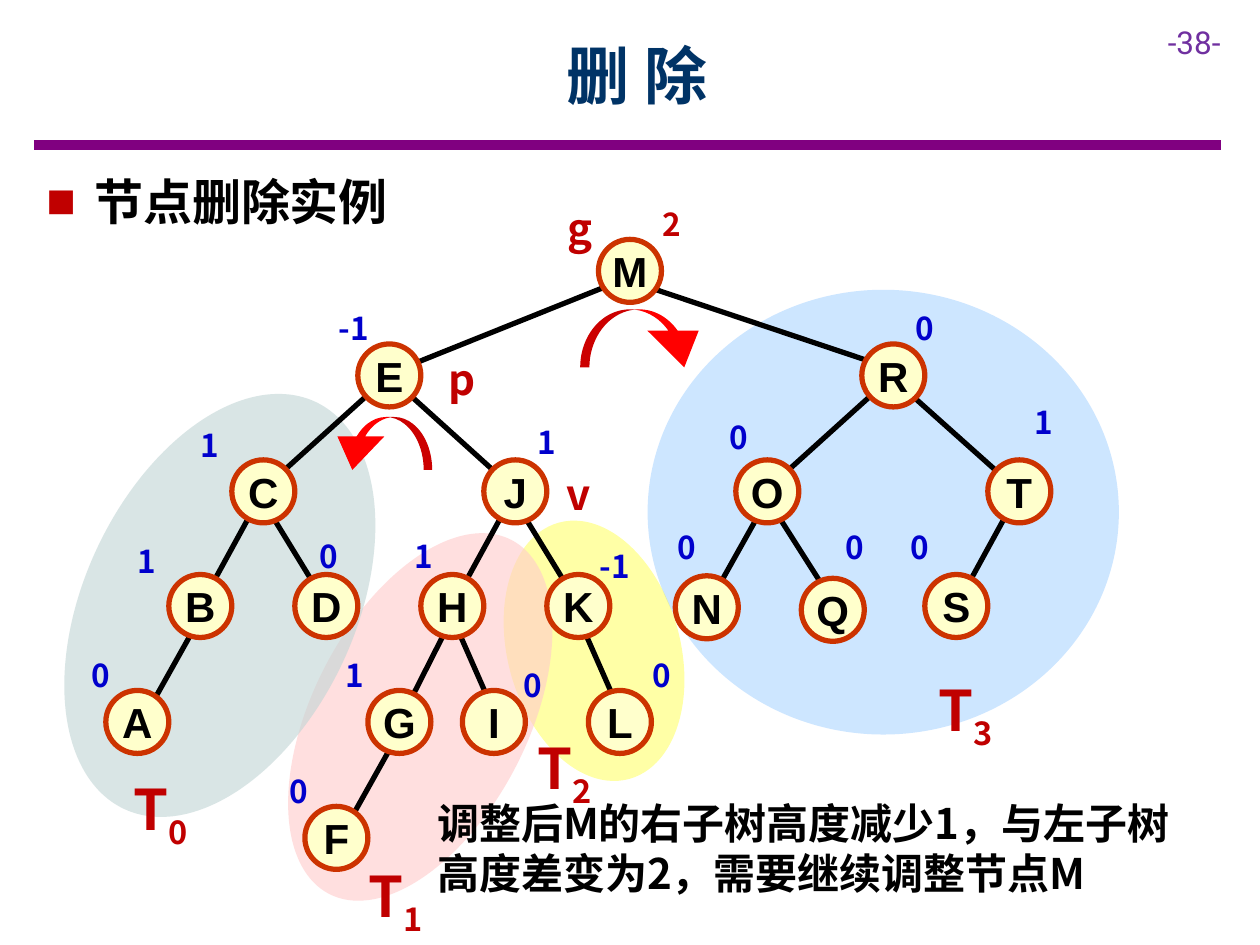
from lxml import etree
from pptx import Presentation
from pptx.dml.color import RGBColor
from pptx.enum.shapes import MSO_CONNECTOR, MSO_SHAPE
from pptx.enum.text import MSO_ANCHOR, MSO_AUTO_SIZE, PP_ALIGN
from pptx.oxml.ns import qn
from pptx.util import Inches, Pt

BLACK = RGBColor(0x00, 0x00, 0x00)
NAVY = RGBColor(0x00, 0x33, 0x66)
PURPLE = RGBColor(0x80, 0x00, 0x80)
VIOLET = RGBColor(0x70, 0x30, 0xA0)
BLUE = RGBColor(0x00, 0x00, 0xCC)
DARK_RED = RGBColor(0xC0, 0x00, 0x00)
RED = RGBColor(0xFF, 0x00, 0x00)
NODE_FILL = RGBColor(0xFF, 0xFF, 0xCC)
NODE_LINE = RGBColor(0xCC, 0x33, 0x00)
SKY = RGBColor(0x70, 0xB8, 0xFF)
YELLOW = RGBColor(0xFF, 0xFF, 0x00)
PINK = RGBColor(0xFF, 0xCC, 0xCC)
GREY_GREEN = RGBColor(0xC2, 0xD6, 0xD6)

CJK_FONT = "Noto Sans CJK SC"
NODE_SIZE = 0.5

# left, top, width, height, rotation, colour, opacity in percent
SUBTREE_AREAS = [
    (5.14, 2.3, 3.74, 3.53, 0, SKY, 35),
    (4.03, 4.11, 1.37, 2.11, 344.6, YELLOW, 35),
    (2.48, 4.11, 1.71, 3.16, 27.2, PINK, 62),
    (0.67, 3.02, 2.15, 3.57, 25.2, GREY_GREEN, 62),
]

# key, left, top, balance factor, left and top of the balance factor
NODES = [
    ("M", 4.75, 1.9, "2", 5.16, 1.58),
    ("E", 2.84, 2.73, "-1", 2.59, 2.4),
    ("R", 6.84, 2.73, "0", 7.17, 2.4),
    ("C", 1.84, 3.65, "1", 1.49, 3.33),
    ("J", 3.84, 3.65, "1", 4.17, 3.31),
    ("O", 5.84, 3.65, "0", 5.69, 3.27),
    ("T", 7.84, 3.65, "1", 8.11, 3.15),
    ("B", 1.34, 4.56, "1", 0.99, 4.25),
    ("D", 2.34, 4.56, "0", 2.44, 4.21),
    ("H", 3.34, 4.56, "1", 3.19, 4.21),
    ("K", 4.34, 4.56, "-1", 4.66, 4.29),
    ("N", 5.36, 4.57, "0", 5.28, 4.14),
    ("Q", 6.36, 4.59, "0", 6.61, 4.14),
    ("S", 7.34, 4.56, "0", 7.13, 4.14),
    ("A", 0.84, 5.48, "0", 0.63, 5.16),
    ("G", 2.92, 5.48, "1", 2.64, 5.16),
    ("I", 3.67, 5.48, "0", 4.06, 5.24),
    ("L", 4.67, 5.48, "0", 5.08, 5.16),
    ("F", 2.42, 6.4, "0", 2.2, 6.08),
]

# x and y of the parent end, x and y of the child end
EDGES = [
    (4.92, 2.23, 3.25, 2.9), (5, 2.23, 7, 2.9),
    (3, 3.06, 2.17, 3.81), (3.17, 3.06, 4, 3.81),
    (7, 3.06, 6.17, 3.81), (7.25, 3.15, 8.09, 3.9),
    (2, 4.06, 1.59, 4.81), (2.09, 3.98, 2.5, 4.65),
    (4, 4.06, 3.59, 4.81), (4.09, 3.98, 4.5, 4.65),
    (6.03, 4.07, 5.61, 4.82), (6.11, 3.99, 6.53, 4.65),
    (8, 4.06, 7.59, 4.81), (1.59, 4.9, 1.17, 5.65),
    (3.59, 4.9, 3.17, 5.73), (3.59, 4.9, 3.92, 5.65),
    (4.59, 4.9, 4.92, 5.65), (3.17, 5.81, 2.75, 6.56),
]

POINTER_LABELS = [("g", 4.41, 1.56), ("p", 3.46, 2.76), ("v", 4.4, 3.67)]
SUBTREE_LABELS = [("0", 0.96, 6.1), ("1", 2.83, 6.79), ("2", 4.17, 5.77), ("3", 7.35, 5.31)]


def style_font(paragraph, size, color, name=CJK_FONT, bold=True):
    font = paragraph.font
    font.size, font.name, font.bold = Pt(size), name, bold
    font.color.rgb = color
    east_asian = etree.SubElement(font._element, qn("a:ea"))
    east_asian.set("typeface", name)


def add_text(slide, text, left, top, width, height, size, color, wrap=False, **font):
    box = slide.shapes.add_textbox(Inches(left), Inches(top), Inches(width), Inches(height))
    frame = box.text_frame
    frame.word_wrap = wrap
    frame.auto_size = MSO_AUTO_SIZE.SHAPE_TO_FIT_TEXT
    paragraph = frame.paragraphs[0]
    paragraph.text = text
    style_font(paragraph, size, color, **font)
    return box


def add_line(slide, start_x, start_y, end_x, end_y, color=BLACK, width=3):
    line = slide.shapes.add_connector(
        MSO_CONNECTOR.STRAIGHT, Inches(start_x), Inches(start_y), Inches(end_x), Inches(end_y))
    line.line.color.rgb = color
    line.line.width = Pt(width)
    etree.SubElement(line._element.spPr, qn("a:effectLst"))


def add_filled_shape(slide, kind, left, top, width, height, color, rotation=0):
    shape = slide.shapes.add_shape(
        kind, Inches(left), Inches(top), Inches(width), Inches(height))
    shape.shadow.inherit = False
    shape.rotation = rotation
    shape.fill.solid()
    shape.fill.fore_color.rgb = color
    shape.line.fill.background()
    return shape


def add_subtree_area(slide, left, top, width, height, rotation, color, opacity):
    area = add_filled_shape(slide, MSO_SHAPE.OVAL, left, top, width, height, color, rotation)
    color_element = area._element.spPr.find(qn("a:solidFill"))[0]
    etree.SubElement(color_element, qn("a:alpha")).set("val", str(opacity * 1000))


def add_node(slide, key, left, top):
    node = add_filled_shape(slide, MSO_SHAPE.OVAL, left, top, NODE_SIZE, NODE_SIZE, NODE_FILL)
    node.line.color.rgb = NODE_LINE
    node.line.width = Pt(3)
    frame = node.text_frame
    frame.margin_left = frame.margin_right = frame.margin_top = frame.margin_bottom = 0
    frame.word_wrap = False
    frame.vertical_anchor = MSO_ANCHOR.MIDDLE
    paragraph = frame.paragraphs[0]
    paragraph.text = key
    paragraph.alignment = PP_ALIGN.CENTER
    style_font(paragraph, 24, BLACK, "Arial")


def add_balance(slide, key, balance, left, top):
    width = 0.36 if len(balance) == 1 else 0.47
    add_text(slide, balance, left, top, width, 0.4, 18, DARK_RED if key == "M" else BLUE)


def add_rotation_arrow(slide, left, top, width, height, flipped=False):
    arrow = add_filled_shape(
        slide, MSO_SHAPE.CURVED_LEFT_ARROW, left, top, width, height, RED, 270)
    for index, value in enumerate((0.16, 0.886, 0.633)):
        arrow.adjustments[index] = value
    if flipped:
        arrow._element.spPr.find(qn("a:xfrm")).set("flipV", "1")


def add_subtree_label(slide, number, left, top):
    label = add_text(slide, "T", left, top, 0.67, 0.64, 32, DARK_RED)
    subscript = label.text_frame.paragraphs[0].add_run()
    subscript.text = number
    subscript.font._element.set("baseline", "-25000")


def add_heading(slide):
    add_line(slide, 0.27, 1.15, 9.69, 1.15, PURPLE, 6)
    add_text(slide, "-38-", 9.17, 0.13, 0.83, 0.4, 18, VIOLET, wrap=True,
             name="Roboto", bold=False)
    title = add_text(slide, "删 除", 0.9, 0.09, 8.31, 1, 36, NAVY, wrap=True)
    title.text_frame.auto_size = MSO_AUTO_SIZE.NONE
    title.text_frame.vertical_anchor = MSO_ANCHOR.MIDDLE
    title.text_frame.paragraphs[0].alignment = PP_ALIGN.CENTER


def add_bullet(slide):
    box = add_text(slide, "节点删除实例", 0.27, 1.31, 6.5, 0.57, 28, BLACK, wrap=True)
    paragraph = box.text_frame.paragraphs[0]
    paragraph.space_after = Pt(6)
    properties = paragraph._element.get_or_add_pPr()
    properties.set("marL", str(Inches(0.38)))
    properties.set("indent", str(Inches(-0.38)))
    bullet_color = etree.Element(qn("a:buClr"))
    etree.SubElement(bullet_color, qn("a:srgbClr")).set("val", str(DARK_RED))
    bullet_font = etree.Element(qn("a:buFont"), typeface="Arial")
    bullet = etree.Element(qn("a:buChar"), char="■")
    for element in (bullet_color, bullet_font, bullet):
        properties.find(qn("a:defRPr")).addprevious(element)


def main():
    presentation = Presentation()
    presentation.slide_width, presentation.slide_height = Inches(10), Inches(7.5)
    slide = presentation.slides.add_slide(presentation.slide_layouts[6])
    for area in SUBTREE_AREAS:
        add_subtree_area(slide, *area)
    add_heading(slide)
    add_bullet(slide)
    for edge in EDGES:
        add_line(slide, *edge)
    for key, left, top, balance, balance_left, balance_top in NODES:
        add_node(slide, key, left, top)
        add_balance(slide, key, balance, balance_left, balance_top)
    note = add_text(slide, "调整后M的右子树高度减少1，与左子树高度差变为2，需要继续调整节点M",
                    3.37, 6.28, 6.32, 0.91, 24, BLACK, wrap=True)
    note.text_frame.paragraphs[0].space_after = Pt(6)
    for text, left, top in POINTER_LABELS:
        add_text(slide, text, left, top, 0.43, 0.5, 24, DARK_RED)
    add_rotation_arrow(slide, 2.81, 3.11, 0.42, 0.82, flipped=True)
    add_rotation_arrow(slide, 4.89, 2.17, 0.46, 1.03)
    for label in SUBTREE_LABELS:
        add_subtree_label(slide, *label)
    presentation.save("out.pptx")


if __name__ == "__main__":
    main()
